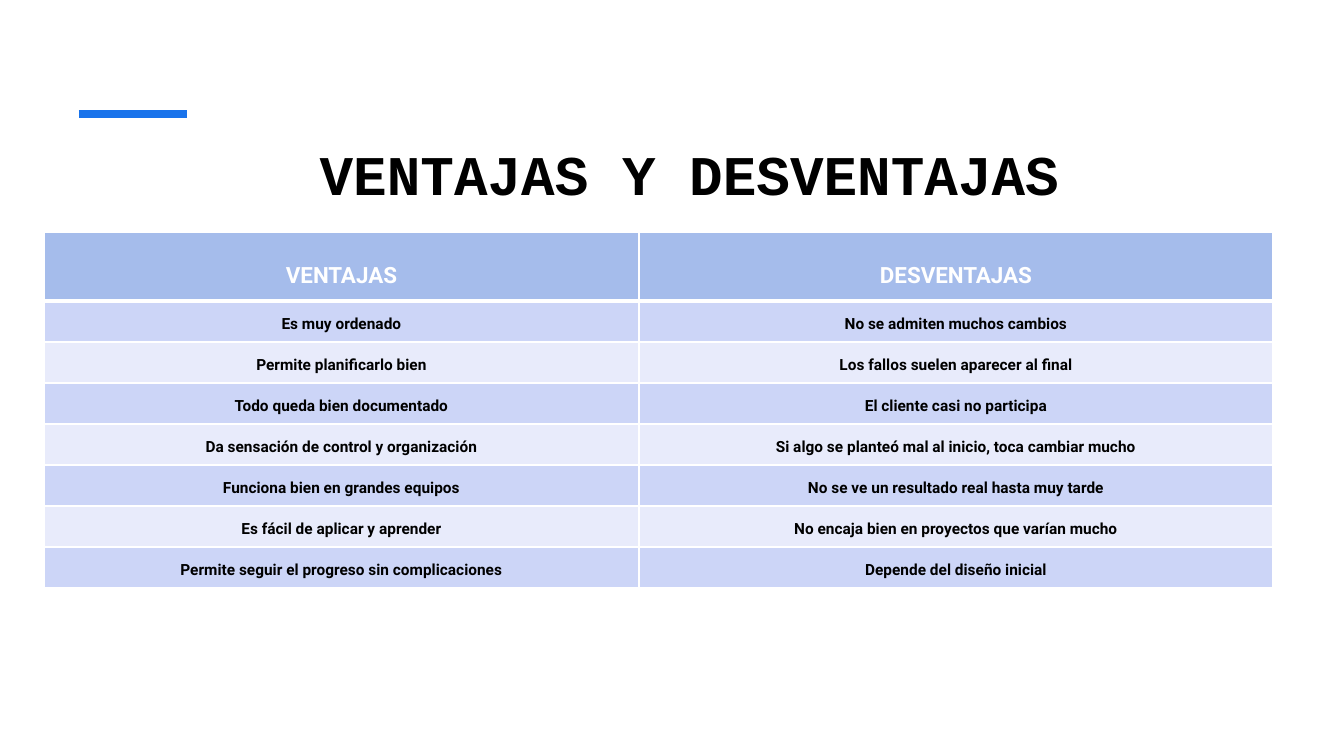
from typing import NamedTuple

from lxml import etree
from pptx import Presentation
from pptx import util as u
from pptx.dml.color import RGBColor
from pptx.enum import shapes, text
from pptx.oxml.ns import qn

EMU_PER_PX = 9071
WHITE = RGBColor(0xFF, 0xFF, 0xFF)
BLACK = RGBColor(0x00, 0x00, 0x00)
ACCENT = RGBColor(0x19, 0x73, 0xEB)
HEADER_FILL = RGBColor(0xA5, 0xBC, 0xEB)
BAND_FILLS = (RGBColor(0xCC, 0xD5, 0xF7), RGBColor(0xE8, 0xEB, 0xFB))

COLUMN_WIDTHS = (595, 634)
HEADER_HEIGHT, ROW_HEIGHT = 69, 41
HEADER = ("VENTAJAS", "DESVENTAJAS")
ROWS = (
    ("Es muy ordenado", "No se admiten muchos cambios"),
    ("Permite planificarlo bien", "Los fallos suelen aparecer al final"),
    ("Todo queda bien documentado", "El cliente casi no participa"),
    ("Da sensación de control y organización",
     "Si algo se planteó mal al inicio, toca cambiar mucho"),
    ("Funciona bien en grandes equipos",
     "No se ve un resultado real hasta muy tarde"),
    ("Es fácil de aplicar y aprender",
     "No encaja bien en proyectos que varían mucho"),
    ("Permite seguir el progreso sin complicaciones",
     "Depende del diseño inicial"),
)


class TextStyle(NamedTuple):
    font: str
    size: int
    color: RGBColor
    spacing: float


class RowStyle(NamedTuple):
    height: int
    fill: RGBColor
    text: TextStyle
    bottom_border: int


TITLE_TEXT = TextStyle("Courier New", 40, BLACK, 1.0)
HEADER_TEXT = TextStyle("Roboto", 16, WHITE, 2.0)
BODY_TEXT = TextStyle("Roboto", 11, BLACK, 1.5)
HEADER_STYLE = RowStyle(HEADER_HEIGHT, HEADER_FILL, HEADER_TEXT, 3)
BAND_STYLES = [RowStyle(ROW_HEIGHT, fill, BODY_TEXT, 1) for fill in BAND_FILLS]


def px(length: int) -> u.Emu:
    return u.Emu(length * EMU_PER_PX)


def write(frame, words: str, style: TextStyle) -> None:
    """Put one bold, centred line in a text frame."""
    para = frame.paragraphs[0]
    para.alignment = text.PP_ALIGN.CENTER
    para.line_spacing = style.spacing
    span = para.add_run()
    span.text = words
    span.font.name = style.font
    span.font.size = u.Pt(style.size)
    span.font.bold = True
    span.font.color.rgb = style.color


def add_border(cell, side: str, points: int) -> None:
    """Draw a white border on one side: L, R, T or B."""
    properties = cell._tc.get_or_add_tcPr()
    line = etree.SubElement(properties, qn(f"a:ln{side}"), w=str(u.Pt(points)))
    fill = etree.SubElement(line, qn("a:solidFill"))
    etree.SubElement(fill, qn("a:srgbClr"), val=str(WHITE))


def add_accent(page) -> None:
    accent = page.shapes.add_connector(
        shapes.MSO_CONNECTOR.STRAIGHT, px(79), px(114), px(187), px(114))
    accent.line.color.rgb = ACCENT
    accent.line.width = u.Pt(6)
    etree.SubElement(accent._element.spPr, qn("a:effectLst"))


def add_comparison(page) -> None:
    height = HEADER_HEIGHT + ROW_HEIGHT * len(ROWS)
    table = page.shapes.add_table(
        len(ROWS) + 1, len(COLUMN_WIDTHS),
        px(44), px(232), px(sum(COLUMN_WIDTHS)), px(height)).table
    for column, width in zip(table.columns, COLUMN_WIDTHS):
        column.width = px(width)
    for index, labels in enumerate((HEADER, *ROWS)):
        style = BAND_STYLES[(index - 1) % 2] if index else HEADER_STYLE
        top_border = HEADER_STYLE.bottom_border if index == 1 else 1
        row = table.rows[index]
        row.height = px(style.height)
        for cell, label in zip(row.cells, labels):
            write(cell.text_frame, label, style.text)
            add_border(cell, "L", 1)
            add_border(cell, "R", 1)
            add_border(cell, "T", top_border)
            add_border(cell, "B", style.bottom_border)
            cell.fill.solid()
            cell.fill.fore_color.rgb = style.fill


def add_title(page) -> None:
    box = page.shapes.add_textbox(px(93), px(135), px(1158), px(78))
    frame = box.text_frame
    frame.word_wrap = True
    frame.margin_left = px(44)
    write(frame, "VENTAJAS Y DESVENTAJAS", TITLE_TEXT)


def main() -> None:
    deck = Presentation()
    deck.slide_width, deck.slide_height = px(1344), px(756)
    page = deck.slides.add_slide(deck.slide_layouts[6])
    add_accent(page)
    add_comparison(page)
    add_title(page)
    deck.save("out.pptx")


if __name__ == "__main__":
    main()
